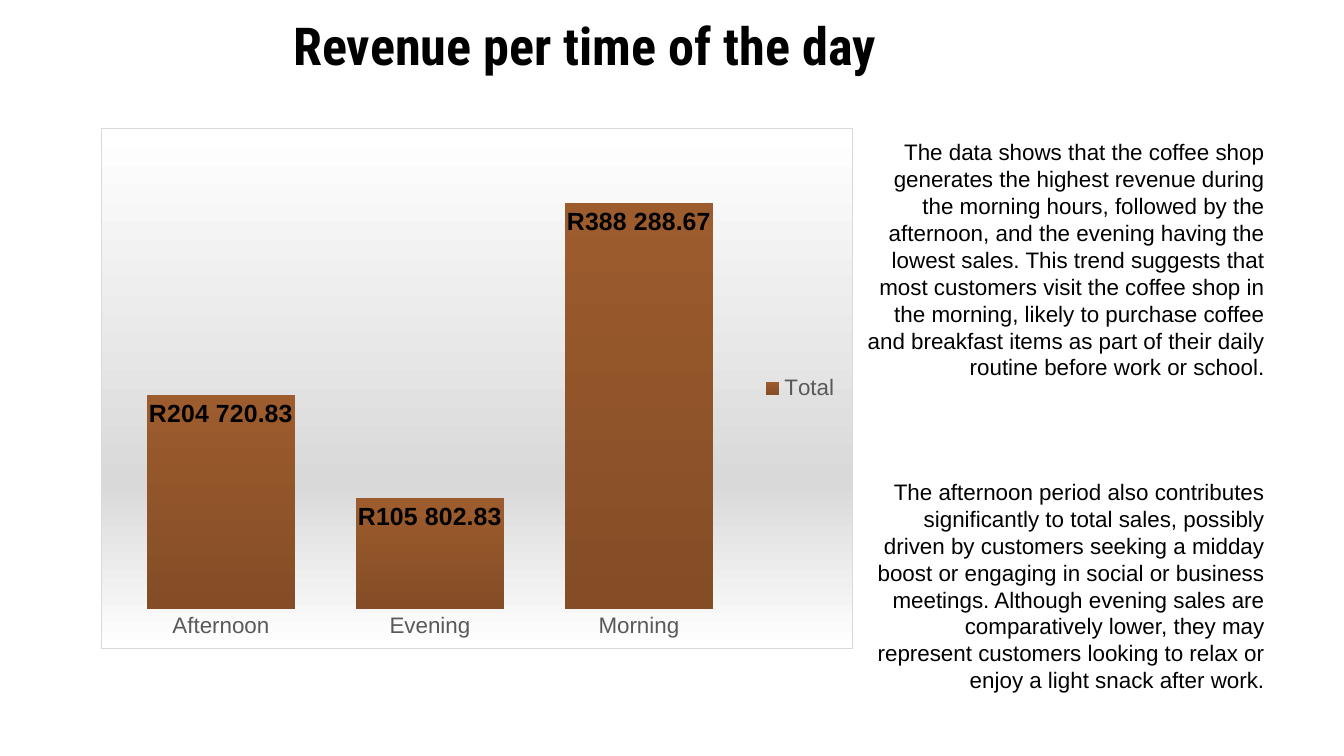
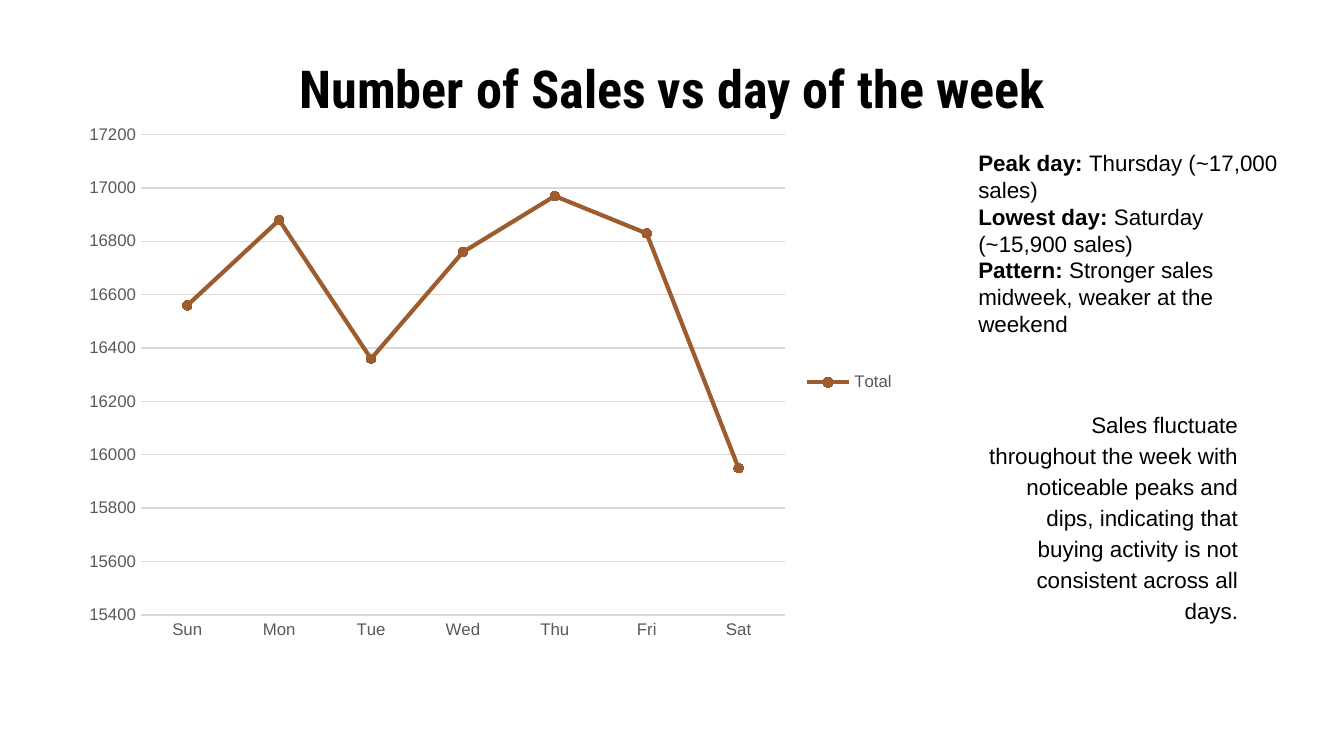
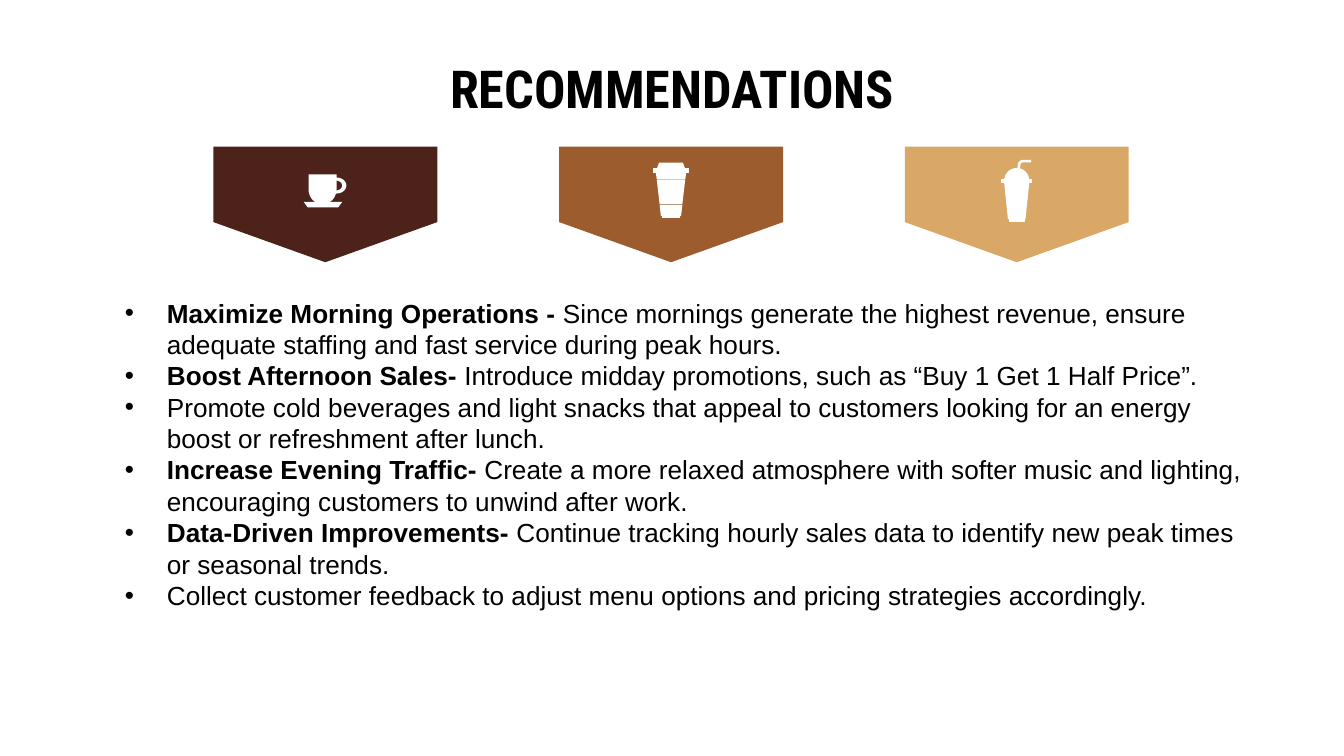
from math import cos, radians, sin

from lxml.etree import SubElement
from pptx import Presentation
from pptx.chart.data import CategoryChartData
from pptx.dml.color import RGBColor
from pptx.enum.chart import (XL_CHART_TYPE, XL_LABEL_POSITION, XL_LEGEND_POSITION,
                             XL_MARKER_STYLE, XL_TICK_MARK)
from pptx.enum.text import MSO_ANCHOR, MSO_AUTO_SIZE, PP_ALIGN
from pptx.oxml import parse_xml
from pptx.oxml.ns import nsdecls, qn
from pptx.util import Pt

BLACK, WHITE, GREY, RULE = "000000", "FFFFFF", "595959", "D9D9D9"
ESPRESSO, COFFEE, ROAST, LATTE = "4C221B", "9D5C2D", "844D26", "D9A866"
TITLE_FONT, BODY_FONT = "Roboto Condensed", "Arial"
TITLE_SIZE, NOTE_SIZE, ADVICE_SIZE = 28, 12, 14
TITLE_WIDTH, TITLE_HEIGHT = 671, 45.4
SIDE_INSET, WIDE_INSET, NARROW_INSET = 7.2, 7.2, 3.6
BULLET_INDENT = 22.5
HAIRLINE = 0.75
RAND_FORMAT = '"R"#\\ ##0.00'

BANNER_LEFT, BANNER_TOP, BANNER_STEP = 114.3, 78.5, 185.2
BANNER_WIDTH, BANNER_SHOULDER, BANNER_HEIGHT = 120, 40.5, 62
BANNER_MIDDLE = BANNER_WIDTH / 2

REVENUE = {"Afternoon": 204720.83, "Evening": 105802.83, "Morning": 388288.67}
SALES = {"Sun": 16560, "Mon": 16880, "Tue": 16360, "Wed": 16760,
         "Thu": 16970, "Fri": 16830, "Sat": 15950}

MORNING_NOTE = (
    "The data shows that the coffee shop generates the highest revenue during the morning hours, "
    "followed by the afternoon, and the evening having the lowest sales. This trend suggests that "
    "most customers visit the coffee shop in the morning, likely to purchase coffee and breakfast "
    "items as part of their daily routine before work or school.")
AFTERNOON_NOTE = (
    "The afternoon period also contributes significantly to total sales, possibly driven by "
    "customers seeking a midday boost or engaging in social or business meetings. Although evening "
    "sales are comparatively lower, they may represent customers looking to relax or enjoy a light "
    "snack after work.")
WEEK_NOTE = (
    "Sales fluctuate throughout the week with noticeable peaks and dips, indicating that buying "
    "activity is not consistent across all days.")
WEEK_FACTS = [
    ("Peak day: ", "Thursday (~17,000 sales)"),
    ("Lowest day: ", "Saturday (~15,900 sales)"),
    ("Pattern: ", "Stronger sales midweek, weaker at the weekend"),
]
RECOMMENDATIONS = [
    ("Maximize Morning Operations - ", "Since mornings generate the highest revenue, ensure "
     "adequate staffing and fast service during peak hours."),
    ("Boost Afternoon Sales-", " Introduce midday promotions, such as “Buy 1 Get 1 Half Price”."),
    ("", "Promote cold beverages and light snacks that appeal to customers looking for an energy "
     "boost or refreshment after lunch."),
    ("Increase Evening Traffic- ", "Create a more relaxed atmosphere with softer music and "
     "lighting, encouraging customers to unwind after work."),
    ("Data-Driven Improvements- ", "Continue tracking hourly sales data to identify new peak "
     "times or seasonal trends."),
    ("", "Collect customer feedback to adjust menu options and pricing strategies accordingly."),
]


def colour(code):
    """Turn a hex string into a colour."""
    return RGBColor.from_string(code)


def apply(target, values):
    """Set each named attribute of the target."""
    for name, value in values.items():
        setattr(target, name, value)


def paint(fill, code):
    """Make a fill solid in one colour."""
    fill.solid()
    fill.fore_color.rgb = colour(code)


def style_line(line, code, width):
    """Give a line its colour and width."""
    line.color.rgb = colour(code)
    line.width = Pt(width)


def style_font(font, size, code=BLACK, bold=False, face=BODY_FONT):
    """Give a font its face, size, weight and colour."""
    apply(font, {"name": face, "size": Pt(size), "bold": bold})
    font.color.rgb = colour(code)


def style_frame(frame, inset, fit=MSO_AUTO_SIZE.NONE):
    """Set wrapping, anchor and insets of a text frame."""
    apply(frame, {"word_wrap": True, "auto_size": fit, "vertical_anchor": MSO_ANCHOR.TOP,
                  "margin_left": Pt(SIDE_INSET), "margin_right": Pt(SIDE_INSET),
                  "margin_top": Pt(inset), "margin_bottom": Pt(inset)})


def add_run(paragraph, wording, size, **style):
    """Add styled wording to a paragraph."""
    run = paragraph.add_run()
    run.text = wording
    style_font(run.font, size, **style)


def add_titled_slide(deck, heading, left=24.5, top=23):
    """Add a title-only slide with its heading in place."""
    slide = deck.slides.add_slide(deck.slide_layouts[5])
    title = slide.shapes.title
    apply(title, {"left": Pt(left), "top": Pt(top),
                  "width": Pt(TITLE_WIDTH), "height": Pt(TITLE_HEIGHT)})
    style_frame(title.text_frame, WIDE_INSET)
    paragraph = title.text_frame.paragraphs[0]
    paragraph.alignment = PP_ALIGN.CENTER
    add_run(paragraph, heading, TITLE_SIZE, bold=True, face=TITLE_FONT)
    return slide


def add_note(slide, box, wording, **spacing):
    """Add a right-aligned commentary paragraph."""
    frame = slide.shapes.add_textbox(*map(Pt, box)).text_frame
    style_frame(frame, WIDE_INSET)
    paragraph = frame.paragraphs[0]
    apply(paragraph, {"alignment": PP_ALIGN.RIGHT, **spacing})
    add_run(paragraph, wording, NOTE_SIZE)


def add_bullet(paragraph):
    """Give a paragraph a hanging black bullet."""
    properties = paragraph._p.get_or_add_pPr()
    properties.set("marL", str(Pt(BULLET_INDENT)))
    properties.set("indent", str(-Pt(BULLET_INDENT)))
    SubElement(SubElement(properties, qn("a:buClr")), qn("a:srgbClr")).set("val", BLACK)
    SubElement(properties, qn("a:buFont")).set("typeface", BODY_FONT)
    SubElement(properties, qn("a:buChar")).set("char", "•")


def add_points(slide, box, points, size, bulleted=False):
    """Add paragraphs that may open with a bold lead."""
    frame = slide.shapes.add_textbox(*map(Pt, box)).text_frame
    style_frame(frame, NARROW_INSET, MSO_AUTO_SIZE.SHAPE_TO_FIT_TEXT)
    for index, (lead, detail) in enumerate(points):
        paragraph = frame.add_paragraph() if index else frame.paragraphs[0]
        if bulleted:
            add_bullet(paragraph)
        if lead:
            add_run(paragraph, lead, size, bold=True)
        add_run(paragraph, detail, size)


def add_total_chart(slide, kind, box, totals, size):
    """Add a one-series chart with a legend and bare axes."""
    data = CategoryChartData()
    data.categories = list(totals)
    data.add_series("Total", list(totals.values()))
    chart = slide.shapes.add_chart(kind, *map(Pt, box), data).chart
    apply(chart, {"has_title": False, "has_legend": True})
    apply(chart.legend, {"position": XL_LEGEND_POSITION.RIGHT, "include_in_layout": False})
    style_font(chart.font, 10)
    style_font(chart.legend.font, size, GREY)
    chart.plots[0].vary_by_categories = False
    for axis in (chart.category_axis, chart.value_axis):
        apply(axis, {"major_tick_mark": XL_TICK_MARK.NONE, "minor_tick_mark": XL_TICK_MARK.NONE})
        style_font(axis.tick_labels.font, size, GREY)
        axis.format.line.fill.background()
    return chart


def shade_chart_area(chart):
    """Fill the chart area with a grey gradient and a thin border."""
    stops = "".join(f'<a:gs pos="{percent * 1000}"><a:srgbClr val="{code}"/></a:gs>'
                    for percent, code in ((0, WHITE), (68, RULE), (100, WHITE)))
    area = parse_xml(
        f'<c:spPr {nsdecls("c", "a")}><a:gradFill><a:gsLst>{stops}</a:gsLst>'
        f'<a:lin ang="5400000" scaled="0"/></a:gradFill><a:ln w="{Pt(HAIRLINE)}"><a:solidFill>'
        f'<a:srgbClr val="{RULE}"/></a:solidFill></a:ln></c:spPr>')
    chart._chartSpace.find(qn("c:txPr")).addprevious(area)


def add_revenue_chart(slide, box):
    """Add the column chart of revenue by time of day."""
    chart = add_total_chart(slide, XL_CHART_TYPE.COLUMN_CLUSTERED, box, REVENUE, 12)
    shade_chart_area(chart)
    apply(chart.value_axis, {"visible": False, "has_major_gridlines": False, "minimum_scale": 0})
    plot = chart.plots[0]
    apply(plot, {"gap_width": 41, "has_data_labels": True})
    apply(plot.data_labels, {"show_value": True, "position": XL_LABEL_POSITION.INSIDE_END,
                             "number_format": RAND_FORMAT, "number_format_is_linked": False})
    style_font(plot.data_labels.font, 13.3, bold=True)
    column_fill = plot.series[0].format.fill
    column_fill.gradient()
    column_fill.gradient_angle = 270
    for stop, code in zip(column_fill.gradient_stops, (COFFEE, ROAST)):
        stop.color.rgb = colour(code)


def add_week_chart(slide, box):
    """Add the line chart of sales by weekday."""
    chart = add_total_chart(slide, XL_CHART_TYPE.LINE_MARKERS_STACKED, box, SALES, 9)
    apply(chart.value_axis, {"minimum_scale": 15400, "maximum_scale": 17200, "major_unit": 200,
                             "has_major_gridlines": True})
    for ruled in (chart.value_axis.major_gridlines, chart.category_axis):
        style_line(ruled.format.line, RULE, HAIRLINE)
    total = chart.plots[0].series[0]
    total.smooth = False
    style_line(total.format.line, COFFEE, 2.25)
    apply(total.marker, {"style": XL_MARKER_STYLE.CIRCLE, "size": 5})
    paint(total.marker.format.fill, COFFEE)
    style_line(total.marker.format.line, COFFEE, HAIRLINE)


def band(top, bottom, half_top, half_bottom, middle=BANNER_MIDDLE):
    """Return a level trapezoid, symmetric about its middle."""
    return [(middle - half_top, top), (middle - half_bottom, bottom),
            (middle + half_bottom, bottom), (middle + half_top, top)]


def arc(middle, level, half_width, half_height, start=0, end=360, steps=24):
    """Return points along an ellipse, clockwise from the right."""
    angles = [radians(start + (end - start) * step / steps) for step in range(steps + 1)]
    return [(middle + half_width * cos(angle), level + half_height * sin(angle))
            for angle in angles]


def banner():
    """Return the outline of a banner with a pointed foot."""
    return [[(0, 0), (0, BANNER_SHOULDER), (BANNER_MIDDLE, BANNER_HEIGHT),
             (BANNER_WIDTH, BANNER_SHOULDER), (BANNER_WIDTH, 0)]]


def coffee_cup():
    """Return the bowl, saucer and ring handle of a cup."""
    bowl = [(51, 15), *arc(58.5, 23, 7.5, 8, 180, 0), (66, 15)]
    saucer = band(29.7, 32.6, 10.3, 8.2, middle=58.7)
    handle = [arc(66, 20.9, 5.3, 4.3), arc(66, 20.9, 3, 2.6, 360, 0)]
    return [[bowl], [saucer], handle]


def takeaway_cup():
    """Return the lid, brim, rim, sleeve, foot and base of a cup."""
    lid = band(8.6, 13, 6.4, 8)
    brim = band(11.5, 14.4, 9.7, 9.7)
    rim = band(13, 17.7, 8.3, 7.6)
    sleeve = band(18, 30.8, 7.6, 6.1)
    foot = band(31.1, 37.4, 6.1, 5.4)
    base = band(36.7, 38.2, 5, 5)
    return [[part] for part in (lid, brim, rim, sleeve, foot, base)]


def iced_cup():
    """Return the cup, base, brim, dome and bent straw of a drink."""
    cup = band(18.7, 38.9, 6.8, 4.7)
    base = band(38.2, 40.3, 4.3, 4.3)
    brim = band(17.3, 19.4, 8.3, 8.3)
    dome = arc(BANNER_MIDDLE, 18.5, 6.8, 7, 180, 360)
    straw = [(59.8, 18.7), *arc(63.4, 10.1, 2.9, 2.9, 180, 270), (67.7, 7.2),
             (67.7, 8.6), *arc(63.4, 10.1, 1.5, 1.5, 270, 180), (61.2, 18.7)]
    return [[part] for part in (cup, base, brim, dome, straw)]


def add_outline(shapes, left, contours, code):
    """Add a filled outline of one or more contours at banner height."""
    corners = [[(Pt(left + x), Pt(BANNER_TOP + y)) for x, y in contour] for contour in contours]
    builder = shapes.build_freeform(*corners[0][0])
    for index, (start, *rest) in enumerate(corners):
        if index:
            builder.move_to(*start)
        builder.add_line_segments(rest, close=True)
    outline = builder.convert_to_shape()
    outline.shadow.inherit = False
    paint(outline.fill, code)
    outline.line.fill.background()


def add_banner(slide, left, code, icon):
    """Add a pointed banner with a white drink icon."""
    shapes = slide.shapes.add_group_shape().shapes
    add_outline(shapes, left, banner(), code)
    for contours in icon:
        add_outline(shapes, left, contours, WHITE)


def add_revenue_slide(deck):
    """Add the slide on revenue by time of day."""
    slide = add_titled_slide(deck, "Revenue per time of the day", left=-22.3, top=0)
    for top, height, wording in ((249, 45.4, AFTERNOON_NOTE), (67, 59, MORNING_NOTE)):
        add_note(slide, (457.2, top, 227.5, height), wording)
    add_revenue_chart(slide, (54, 68.4, 403.2, 279.4))


def add_week_slide(deck):
    """Add the slide on sales by weekday."""
    slide = add_titled_slide(deck, "Number of Sales vs day of the week")
    add_note(slide, (517, 211, 153.4, 30.2), WEEK_NOTE, line_spacing=1.15, space_after=Pt(16))
    add_week_chart(slide, (38.9, 61.2, 447.8, 287.3))
    add_points(slide, (517, 76.3, 175, 108.7), WEEK_FACTS, NOTE_SIZE)


def add_advice_slide(deck):
    """Add the slide of recommendations under three banners."""
    slide = add_titled_slide(deck, "RECOMMENDATIONS")
    drinks = ((ESPRESSO, coffee_cup()), (COFFEE, takeaway_cup()), (LATTE, iced_cup()))
    for index, (code, icon) in enumerate(drinks):
        add_banner(slide, BANNER_LEFT + index * BANNER_STEP, code, icon)
    add_points(slide, (59.8, 155.5, 618.5, 193.7), RECOMMENDATIONS, ADVICE_SIZE, bulleted=True)


def main():
    """Build the three slides and save them."""
    deck = Presentation()
    apply(deck, {"slide_width": Pt(720), "slide_height": Pt(405)})
    for add_slide in (add_revenue_slide, add_week_slide, add_advice_slide):
        add_slide(deck)
    deck.save("out.pptx")


if __name__ == "__main__":
    main()
